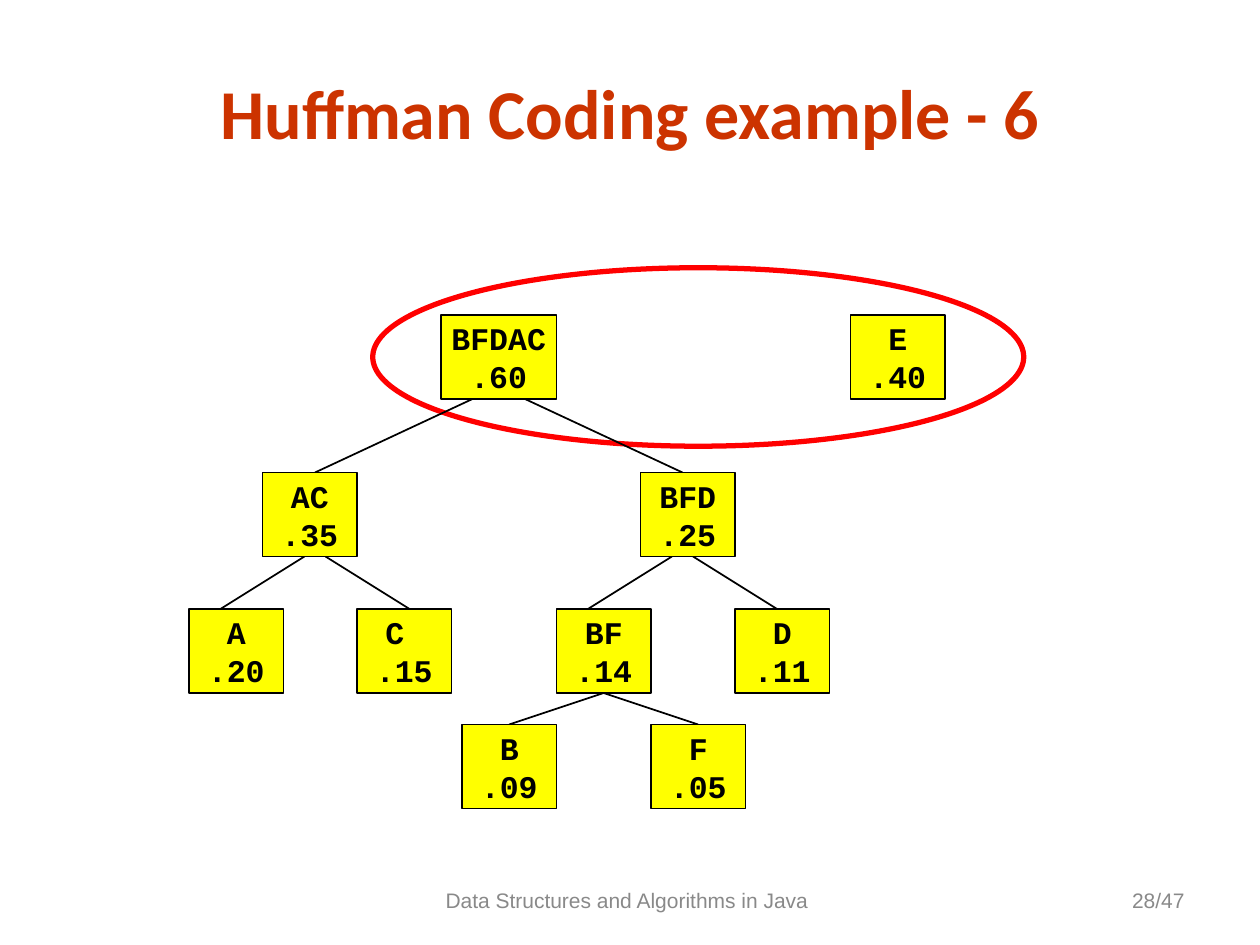
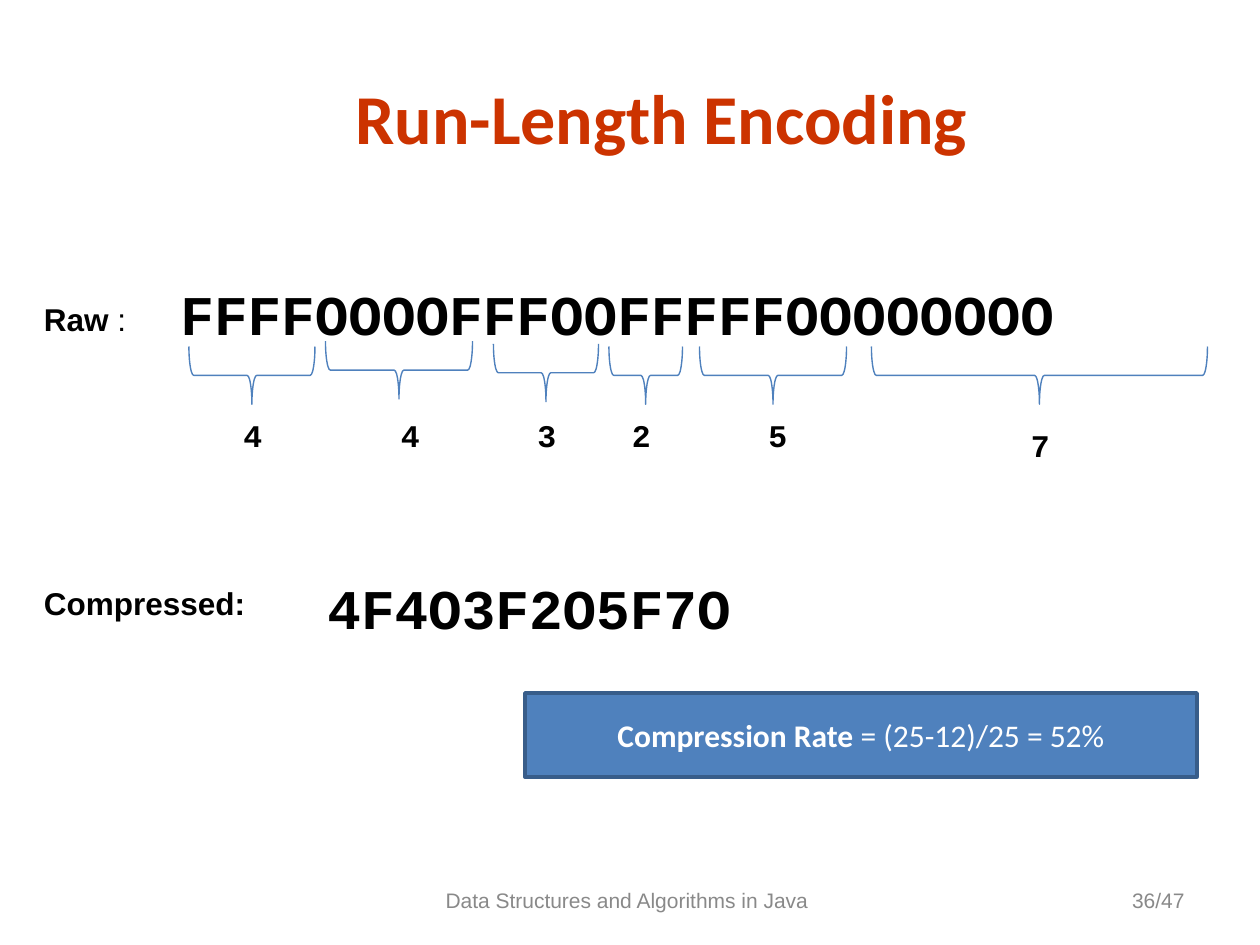
from pptx import Presentation
from pptx.dml.color import RGBColor
from pptx.enum.shapes import MSO_CONNECTOR, MSO_SHAPE
from pptx.enum.text import MSO_ANCHOR, MSO_AUTO_SIZE, PP_ALIGN
from pptx.oxml.ns import qn
from pptx.util import Emu, Pt

RECTANGLE, ELLIPSE, BRACE = MSO_SHAPE.RECTANGLE, MSO_SHAPE.OVAL, MSO_SHAPE.LEFT_BRACE
STRAIGHT = MSO_CONNECTOR.STRAIGHT
LEFT, CENTER, RIGHT = PP_ALIGN.LEFT, PP_ALIGN.CENTER, PP_ALIGN.RIGHT
TOP, MIDDLE = MSO_ANCHOR.TOP, MSO_ANCHOR.MIDDLE
NO_AUTOFIT = MSO_AUTO_SIZE.NONE

# Shared look
EMU_PER_PX = 9525
TITLE_ONLY = 5
BLACK, WHITE, GREY = "000000", "FFFFFF", "898989"
TITLE_RED, RING_RED, NODE_YELLOW = "CC3300", "FF0000", "FFFF00"
BLUE, DARK_BLUE = "4F81BD", "385D8A"
SANS, HEADING, MONO = "Arial", "Calibri", "Courier New"

NODE_WIDTH, NODE_HEIGHT = 72, 64
BRACE_DEPTH = 44

# Tree nodes: left, top, symbols, probability
TREE_NODES = [
    (200, 360, "AC", ".35"), (488, 360, "BFD", ".25"),
    (144, 464, "A", ".20"), (272, 464, "C ", ".15"),
    (424, 464, "BF", ".14"), (560, 464, "D", ".11"),
    (352, 552, "B", ".09"), (496, 552, "F", ".05"),
]
# Pairs of branches: centre, top, half gap at the top, half gap at the foot, drop
BRANCHES = [
    (380, 304, 20, 140, 56),
    (240, 424, 8, 72, 40),
    (520, 424, 8, 72, 40),
    (460, 528, 0, 72, 24),
]
# Runs of equal letters: brace left, top, width, then count left, top, text
LETTER_RUNS = [
    (144, 264, 96, 176, 312, "4"),
    (248, 260, 112, 296, 312, "4"),
    (376, 262, 80, 400, 312, "3"),
    (464, 264, 56, 472, 312, "2"),
    (533, 264, 112, 576, 312, "5"),
    (664, 264, 256, 776, 320, "7"),
]


def px(*lengths):
    return [Emu(length * EMU_PER_PX) for length in lengths]


def rgb(color):
    return RGBColor.from_string(color)


def write(shape, lines, font, size, color, bold=False, align=LEFT, anchor=MIDDLE, wrap=True):
    """Fill a shape with lines; a line is a string or a list of (text, bold) runs."""
    frame = shape.text_frame
    frame.auto_size = NO_AUTOFIT
    frame.word_wrap = wrap
    frame.vertical_anchor = anchor
    for index, line in enumerate(lines):
        paragraph = frame.add_paragraph() if index else frame.paragraphs[0]
        paragraph.alignment = align
        paragraph.font.name = font
        paragraph.font.size = Pt(size)
        paragraph.font.color.rgb = rgb(color)
        if isinstance(line, str):
            paragraph.font.bold = bold
            paragraph.add_run().text = line
        else:
            for text, run_bold in line:
                run = paragraph.add_run()
                run.text = text
                run.font.bold = run_bold


def add_text(slide, box, line, font, size, color=BLACK, **style):
    write(slide.shapes.add_textbox(*px(*box)), [line], font, size, color, **style)


def add_outlined(slide, kind, box, line_color, line_width, fill=None):
    shape = slide.shapes.add_shape(kind, *px(*box))
    shape.shadow.inherit = False
    shape.line.color.rgb = rgb(line_color)
    shape.line.width = Pt(line_width)
    if fill:
        shape.fill.solid()
        shape.fill.fore_color.rgb = rgb(fill)
    else:
        shape.fill.background()
    return shape


def add_node(slide, left, top, symbols, probability, width=NODE_WIDTH):
    node = add_outlined(slide, RECTANGLE, (left, top, width, NODE_HEIGHT),
                        BLACK, 1, NODE_YELLOW)
    write(node, [symbols, probability], MONO, 18, BLACK, bold=True,
          align=CENTER, wrap=False)


def add_branches(slide, center, top, top_gap, foot_gap, drop):
    for side in (-1, 1):
        ends = px(center + side * top_gap, top, center + side * foot_gap, top + drop)
        branch = slide.shapes.add_connector(STRAIGHT, *ends)
        branch.line.color.rgb = rgb(BLACK)
        branch.line.width = Pt(1)
        properties = branch.element.spPr
        properties.append(properties.makeelement(qn("a:effectLst"), {}))


def add_brace(slide, left, top, width):
    """A left brace turned to point down, spanning the given width."""
    box = (left + (width - BRACE_DEPTH) // 2, top + (BRACE_DEPTH - width) // 2,
           BRACE_DEPTH, width)
    add_outlined(slide, BRACE, box, BLUE, 0.79).rotation = 270


def add_slide(deck, title, title_box, number):
    """A slide with the common title and footer."""
    slide = deck.slides.add_slide(deck.slide_layouts[TITLE_ONLY])
    heading = slide.shapes.title
    heading.left, heading.top, heading.width, heading.height = px(*title_box)
    write(heading, [title], HEADING, 40, TITLE_RED, bold=True, align=CENTER)
    add_text(slide, (328, 667, 304, 38), "Data Structures and Algorithms in Java ",
             SANS, 12, GREY, align=CENTER)
    add_text(slide, (688, 667, 224, 38), f"{number}/47", SANS, 12, GREY, align=RIGHT)
    return slide


def build_huffman(deck):
    slide = add_slide(deck, "Huffman Coding example - 6", (72, 48, 816, 74), 28)
    # The two roots to merge next
    add_node(slide, 648, 240, "E", ".40")
    add_outlined(slide, ELLIPSE, (284, 204, 496, 136), RING_RED, 3)
    add_node(slide, 336, 240, "BFDAC", ".60", width=88)
    # Tree below the left root
    for branches in BRANCHES:
        add_branches(slide, *branches)
    for node in TREE_NODES:
        add_node(slide, *node)


def build_run_length(deck):
    slide = add_slide(deck, "Run-Length Encoding", (72, 52, 864, 74), 36)
    # Raw and compressed strings with their labels
    add_text(slide, (240, 432, 352, 61), "4F4O3F2O5F7O", MONO, 32, bold=True)
    add_text(slide, (128, 208, 832, 61), "FFFFOOOOFFFOOFFFFFOOOOOOOO", MONO, 32, bold=True)
    add_text(slide, (24, 224, 82, 38), [("Raw", True), (" :", False)], SANS, 18,
             anchor=TOP, wrap=False)
    add_text(slide, (24, 440, 173, 38), "Compressed:", SANS, 18, bold=True,
             anchor=TOP, wrap=False)
    # Braces and counts
    for left, top, width, count_left, count_top, count in LETTER_RUNS:
        add_brace(slide, left, top, width)
        add_text(slide, (count_left, count_top, 33, 38), count, MONO, 18, bold=True,
                 anchor=TOP, wrap=False)
    # Compression rate
    rate = add_outlined(slide, RECTANGLE, (400, 528, 512, 64), DARK_BLUE, 2, BLUE)
    write(rate, [[("Compression Rate ", True), ("= (25-12)/25 = 52%", False)]],
          HEADING, 18, WHITE, align=CENTER)


def main():
    deck = Presentation()
    deck.slide_width, deck.slide_height = px(960, 720)
    build_huffman(deck)
    build_run_length(deck)
    deck.save("out.pptx")


if __name__ == "__main__":
    main()
